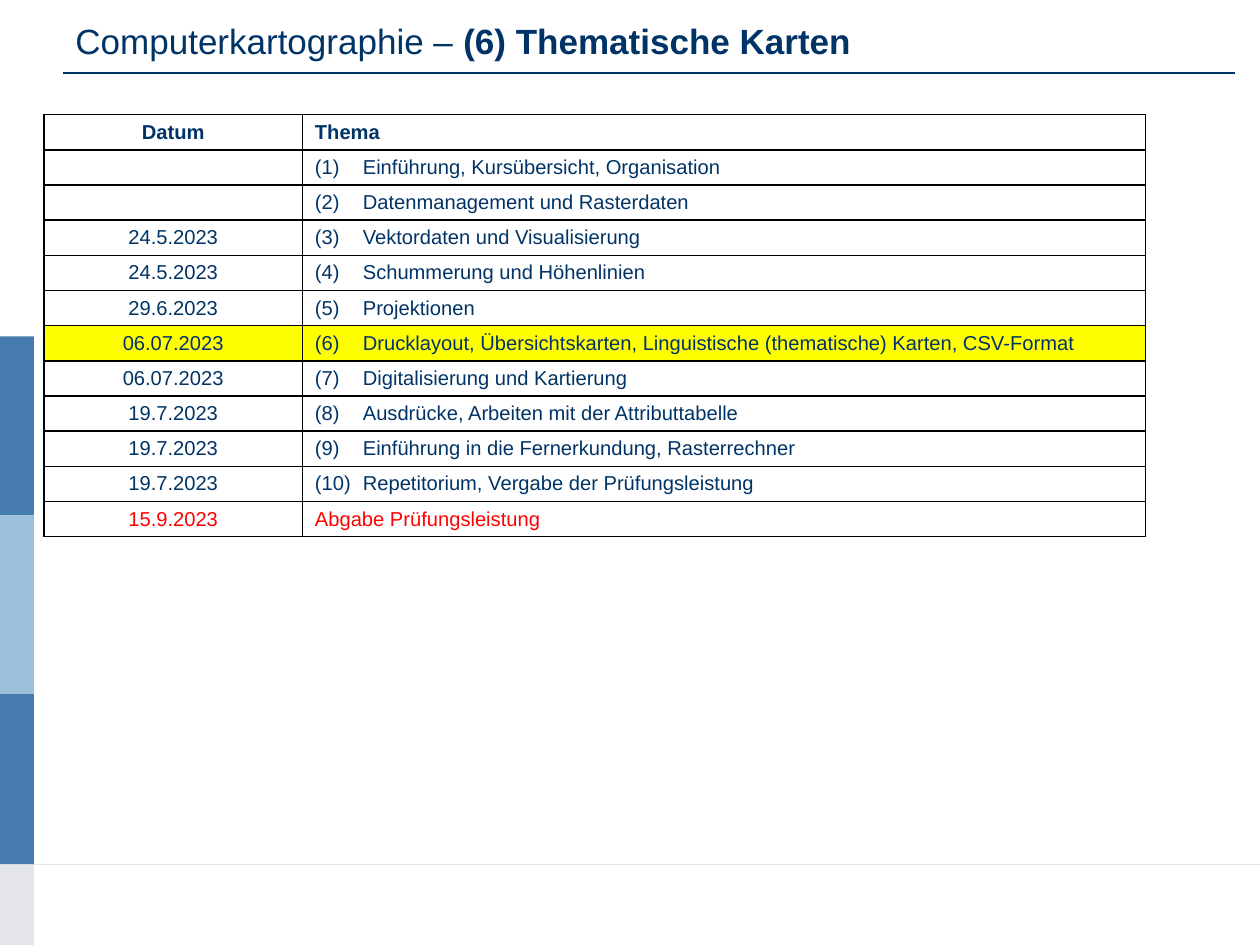
from lxml import etree
from pptx import Presentation
from pptx.dml.color import RGBColor
from pptx.enum.shapes import MSO_CONNECTOR, MSO_SHAPE
from pptx.enum.text import MSO_ANCHOR, PP_ALIGN
from pptx.oxml.ns import qn
from pptx.util import Inches, Pt

STRAIGHT = MSO_CONNECTOR.STRAIGHT
RECTANGLE = MSO_SHAPE.RECTANGLE
MIDDLE = MSO_ANCHOR.MIDDLE
LEFT, CENTER = PP_ALIGN.LEFT, PP_ALIGN.CENTER

NAVY = RGBColor(0x00, 0x33, 0x66)
BLUE = RGBColor(0x45, 0x7B, 0xAD)
LIGHT_BLUE = RGBColor(0x9C, 0xC1, 0xDD)
GREY = RGBColor(0xE4, 0xE5, 0xEA)
YELLOW = RGBColor(0xFF, 0xFF, 0x00)
RED = RGBColor(0xFF, 0x00, 0x00)
BLACK = RGBColor(0x00, 0x00, 0x00)

FONT = "Arial"
TABLE_SIZE = Pt(11.5)

HEADER = ("Datum", "Thema")
SESSIONS = [
    ("", "Einführung, Kursübersicht, Organisation"),
    ("", "Datenmanagement und Rasterdaten"),
    ("24.5.2023", "Vektordaten und Visualisierung"),
    ("24.5.2023", "Schummerung und Höhenlinien"),
    ("29.6.2023", "Projektionen"),
    ("06.07.2023", "Drucklayout, Übersichtskarten, Linguistische (thematische) Karten, CSV-Format"),
    ("06.07.2023", "Digitalisierung und Kartierung"),
    ("19.7.2023", "Ausdrücke, Arbeiten mit der Attributtabelle"),
    ("19.7.2023", "Einführung in die Fernerkundung, Rasterrechner"),
    ("19.7.2023", "Repetitorium, Vergabe der Prüfungsleistung"),
]
DEADLINE = ("15.9.2023", "Abgabe Prüfungsleistung")
CURRENT_SESSION = 6


def add_rule(page, left, right, y, color, width):
    rule = page.shapes.add_connector(STRAIGHT, Inches(left), Inches(y), Inches(right), Inches(y))
    rule.line.color.rgb = color
    rule.line.width = Pt(width)
    etree.SubElement(rule._element.spPr, qn("a:effectLst"))


def add_borders(cell):
    properties = cell._tc.get_or_add_tcPr()
    for side in ("a:lnL", "a:lnR", "a:lnT", "a:lnB"):
        border = etree.SubElement(properties, qn(side), w=str(Pt(1)))
        fill = etree.SubElement(border, qn("a:solidFill"))
        etree.SubElement(fill, qn("a:srgbClr"), val=str(BLACK))


deck = Presentation()
deck.slide_width, deck.slide_height = Inches(10), Inches(7.5)
page = deck.slides.add_slide(deck.slide_layouts[6])

# Side bar and footer line
add_rule(page, 0, 10, 6.86, GREY, 0.5)
bar_edges = [2.67, 4.09, 5.51, 6.86, 7.5]
for top, bottom, color in zip(bar_edges, bar_edges[1:], [BLUE, LIGHT_BLUE, BLUE, GREY]):
    bar = page.shapes.add_shape(RECTANGLE, 0, Inches(top), Inches(0.27), Inches(bottom - top))
    bar.shadow.inherit = False
    bar.fill.solid()
    bar.fill.fore_color.rgb = color
    bar.line.fill.background()

# Title
title = page.shapes.add_textbox(Inches(0.5), Inches(0.05), Inches(9), Inches(0.55))
title.text_frame.word_wrap = True
title.text_frame.vertical_anchor = MIDDLE
para = title.text_frame.paragraphs[0]
for text, bold in [("Computerkartographie – ", False), ("(6) Thematische Karten", True)]:
    span = para.add_run()
    span.text = text
    span.font.name = FONT
    span.font.size = Pt(20)
    span.font.bold = bold
    span.font.color.rgb = NAVY
add_rule(page, 0.5, 9.8, 0.58, NAVY, 0.75)

# Schedule table
topics = [(date, f"({number})\t{topic}") for number, (date, topic) in enumerate(SESSIONS, 1)]
rows = [HEADER, *topics, DEADLINE]
frame = page.shapes.add_table(len(rows), 2, Inches(0.35), Inches(0.91), Inches(8.74), Inches(3.35))
schedule = frame.table
schedule.first_row = False
schedule.horz_banding = False
schedule.columns[0].width = Inches(2.05)
schedule.columns[1].width = Inches(6.69)

for row, texts in enumerate(rows):
    for column, text in enumerate(texts):
        cell = schedule.cell(row, column)
        cell.margin_top = cell.margin_bottom = Inches(0.03)
        cell.vertical_anchor = MIDDLE
        add_borders(cell)
        if row == CURRENT_SESSION:
            cell.fill.solid()
            cell.fill.fore_color.rgb = YELLOW
        else:
            cell.fill.background()

        para = cell.text_frame.paragraphs[0]
        para.text = text
        para.alignment = LEFT if column else CENTER
        if "\t" in text:
            # Hanging indent puts every topic after its number
            indent = Inches(0.38)
            para._p.get_or_add_pPr().set("marL", str(indent))
            para._p.get_or_add_pPr().set("indent", str(-indent))
        for span in para.runs:
            span.font.name = FONT
            span.font.size = TABLE_SIZE
            span.font.bold = row == 0
            span.font.color.rgb = RED if texts == DEADLINE else NAVY
        if not text:
            # Keeps the empty cells as low as the others
            etree.SubElement(para._p, qn("a:endParaRPr"), sz=str(TABLE_SIZE.centipoints))

deck.save("out.pptx")
